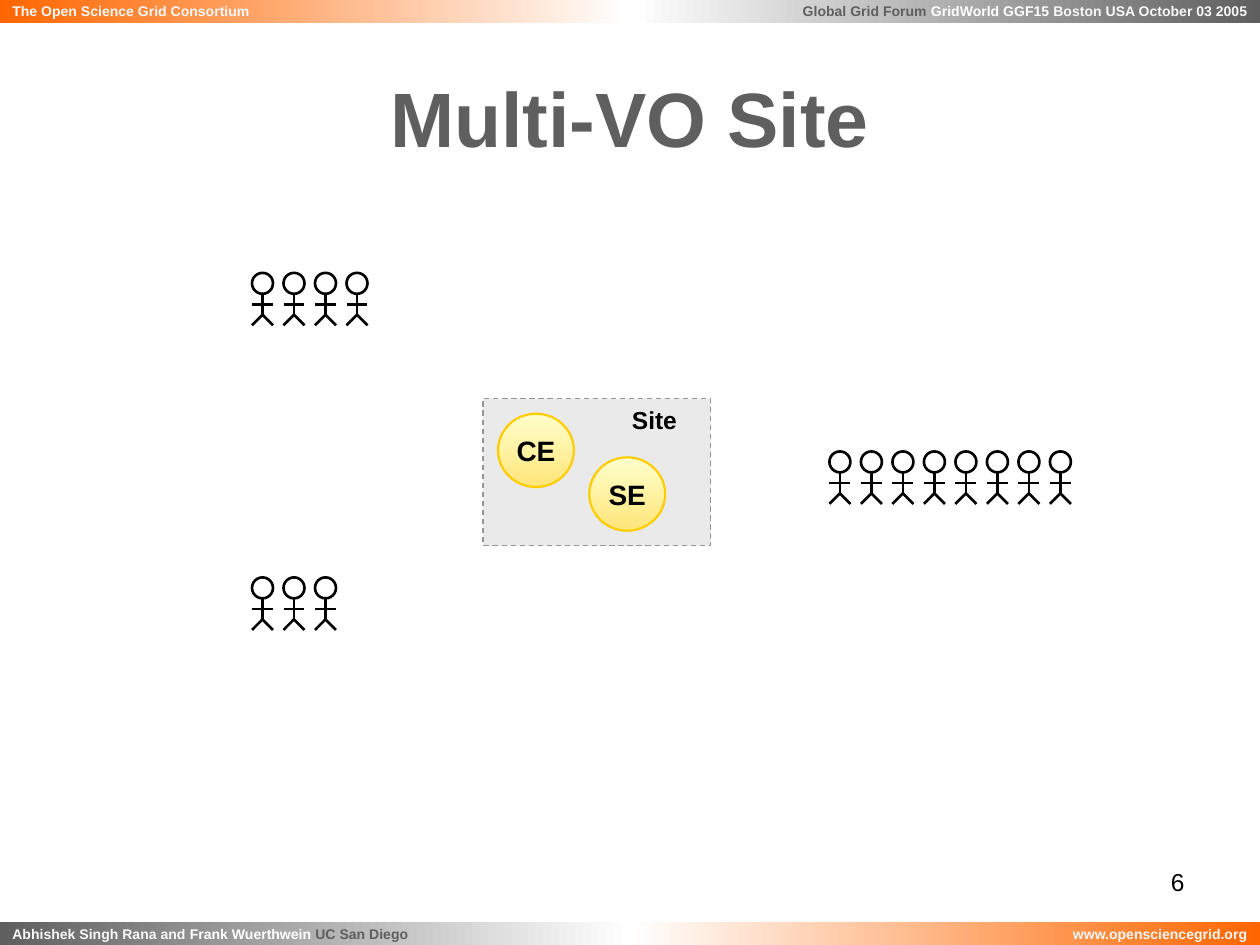
from dataclasses import dataclass

from lxml import etree
from pptx import Presentation
from pptx import util as u
from pptx.dml import color as dml_color
from pptx.enum import dml, shapes, text
from pptx.oxml import ns

UNIT = 2.54 / 12  # grid step of the stick figures, in cm
LEFT, CENTER, RIGHT = text.PP_ALIGN.LEFT, text.PP_ALIGN.CENTER, text.PP_ALIGN.RIGHT
TOP, MIDDLE = text.MSO_ANCHOR.TOP, text.MSO_ANCHOR.MIDDLE
GRAY, ORANGE, WHITE, OFF_WHITE, BLACK = "5F5F5F", "FF6600", "FFFFFF", "F8F8F8", "000000"


@dataclass
class Bar:
    left: float
    top: float
    gradient: tuple[str, str]
    align: text.PP_ALIGN
    runs: list[tuple[str, str]]


@dataclass
class Element:
    name: str
    left: float
    top: float


@dataclass
class Crowd:
    left: float
    top: float
    count: int


BARS = [
    Bar(12.7, 0, (GRAY, WHITE), RIGHT, [
        ("Global Grid Forum ", GRAY),
        ("GridWorld GGF15 ", WHITE),
        ("Boston USA October 03 2005", OFF_WHITE),
    ]),
    Bar(0, 18.59, (WHITE, GRAY), LEFT, [
        ("Abhishek Singh Rana and ", OFF_WHITE),
        ("Frank Wuerthwein ", WHITE),
        ("UC San Diego", GRAY),
    ]),
    Bar(12.7, 18.59, (ORANGE, WHITE), RIGHT, [("www.opensciencegrid.org", OFF_WHITE)]),
    Bar(0, 0, (WHITE, ORANGE), LEFT, [("The Open Science Grid Consortium", OFF_WHITE)]),
]
ELEMENTS = [Element("CE", 10.04, 8.34), Element("SE", 11.88, 9.22)]
CROWDS = [Crowd(5.08, 5.5, 4), Crowd(16.72, 9.1, 8), Crowd(5.08, 11.64, 3)]


def rgb(value: str) -> dml_color.RGBColor:
    return dml_color.RGBColor.from_string(value)


def box(left: float, top: float, width: float, height: float) -> list[u.Cm]:
    return [u.Cm(value) for value in (left, top, width, height)]


def write(shape, runs: list[tuple[str, str]], *, size: float, bold: bool = True,
          align=LEFT, anchor=TOP, wrap: bool = True) -> None:
    """Fill the shape with one paragraph of (text, colour) runs."""
    frame = shape.text_frame
    frame.auto_size = text.MSO_AUTO_SIZE.NONE
    frame.word_wrap = wrap
    frame.vertical_anchor = anchor
    paragraph = frame.paragraphs[0]
    paragraph.alignment = align
    for words, color in runs:
        run = paragraph.add_run()
        run.text = words
        run.font.name = "Arial"
        run.font.size = u.Pt(size)
        run.font.bold = bold
        run.font.color.rgb = rgb(color)


def set_line(shape, color: str, width: float) -> None:
    shape.line.color.rgb = rgb(color)
    shape.line.width = u.Pt(width)


def set_gradient(shape, colors: tuple[str, str], angle: float) -> None:
    shape.fill.gradient()
    shape.fill.gradient_angle = angle
    for stop, color, position in zip(shape.fill.gradient_stops, colors, (0, 1)):
        stop.color.rgb = rgb(color)
        stop.position = position


def add_plain_shape(parent, kind, *bounds: float):
    shape = parent.shapes.add_shape(kind, *box(*bounds))
    shape.shadow.inherit = False
    return shape


def add_bar(slide, bar: Bar) -> None:
    shape = add_plain_shape(slide, shapes.MSO_SHAPE.RECTANGLE, bar.left, bar.top, 12.7, 0.46)
    set_gradient(shape, bar.gradient, 180)
    shape.line.fill.background()
    write(shape, bar.runs, size=8, align=bar.align, anchor=MIDDLE)


def add_site(slide) -> None:
    group = slide.shapes.add_group_shape()
    area = add_plain_shape(group, shapes.MSO_SHAPE.RECTANGLE, 9.74, 8.04, 4.59, 2.96)
    area.fill.solid()
    area.fill.fore_color.rgb = rgb("EAEAEA")
    set_line(area, "969696", 0.75)
    area.line.dash_style = dml.MSO_LINE.DASH
    for element in ELEMENTS:
        circle = add_plain_shape(group, shapes.MSO_SHAPE.OVAL, element.left, element.top, 1.53, 1.48)
        set_gradient(circle, ("FFFFCC", "FFE579"), 270)
        set_line(circle, "FFCC00", 1.25)
        write(circle, [(element.name, BLACK)], size=16, align=CENTER, anchor=MIDDLE, wrap=False)
    label = group.shapes.add_textbox(*box(12.49, 8.04, 1.42, 0.86))
    write(label, [("Site", BLACK)], size=14, wrap=False)


def add_person(slide, left: float, top: float) -> None:
    """Draw a stick figure two units wide and five units high."""
    group = slide.shapes.add_group_shape()
    head = add_plain_shape(group, shapes.MSO_SHAPE.OVAL, left, top, 2 * UNIT, 2 * UNIT)
    head.fill.background()
    set_line(head, BLACK, 1.5)
    trunk, left_leg, right_leg, arms = (1, 2, 1, 4), (1, 4, 0, 5), (1, 4, 2, 5), (0, 3, 2, 3)
    for x1, y1, x2, y2 in (trunk, left_leg, right_leg, arms):
        limb = group.shapes.add_connector(
            shapes.MSO_CONNECTOR.STRAIGHT,
            u.Cm(left + x1 * UNIT), u.Cm(top + y1 * UNIT),
            u.Cm(left + x2 * UNIT), u.Cm(top + y2 * UNIT))
        set_line(limb, BLACK, 1.5)
        etree.SubElement(limb._element.spPr, ns.qn("a:effectLst"))


def main() -> None:
    presentation = Presentation()
    presentation.slide_width, presentation.slide_height = u.Cm(25.4), u.Cm(19.05)
    slide = presentation.slides.add_slide(presentation.slide_layouts[5])

    for bar in BARS:
        add_bar(slide, bar)

    title = slide.shapes.title
    title.left, title.top, title.width, title.height = box(1.27, 0.76, 22.86, 3.18)
    write(title, [("Multi-VO Site", GRAY)], size=44, align=CENTER, anchor=MIDDLE)

    add_site(slide)
    for crowd in CROWDS:
        for index in range(crowd.count):
            add_person(slide, crowd.left + index * 3 * UNIT, crowd.top)

    page_number = slide.shapes.add_textbox(*box(18.2, 17.36, 5.93, 1.32))
    write(page_number, [("6", BLACK)], size=14, bold=False, align=RIGHT)

    presentation.save("out.pptx")


if __name__ == "__main__":
    main()
